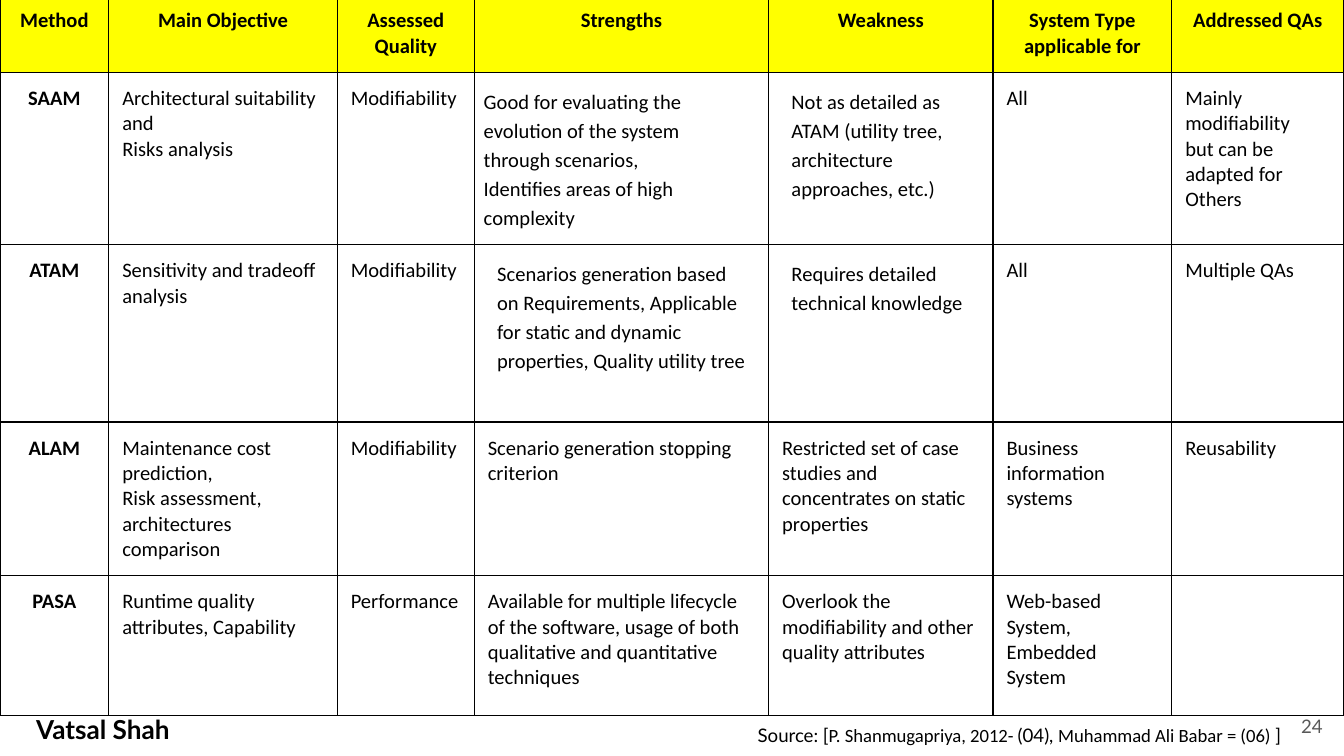
"""Build a slide comparing software architecture evaluation methods."""
import pptx
import pptx.dml.color
import pptx.enum.text
import pptx.oxml
import pptx.oxml.ns
import pptx.util
from pptx.util import Inches

COLORS = {"header": "FFFF00", "paper": "FFFFFF", "ink": "000000", "muted": "595959"}
ALIGN = pptx.enum.text.PP_ALIGN
COLUMN_WIDTHS = [0.81, 1.7, 1.02, 2.19, 1.67, 1.33, 1.28]
ROW_HEIGHTS = [0.57, 1.22, 1.32, 1.12, 1.04]
METHODS = [
    ["Method", "Main Objective", "Assessed Quality", "Strengths", "Weakness",
     "System Type applicable for", "Addressed QAs"],
    ["SAAM", "Architectural suitability and\nRisks analysis", "Modifiability",
     "Good for evaluating the evolution of the system through scenarios,\n"
     "Identifies areas of high complexity",
     "Not as detailed as ATAM (utility tree, architecture approaches, etc.)",
     "All", "Mainly modifiability\nbut can be adapted for\nOthers"],
    ["ATAM", "Sensitivity and tradeoff analysis", "Modifiability",
     "Scenarios generation based on Requirements, Applicable for static and "
     "dynamic properties, Quality utility tree",
     "Requires detailed technical knowledge", "All", "Multiple QAs"],
    ["ALAM", "Maintenance cost prediction,\nRisk assessment, architectures comparison",
     "Modifiability", "Scenario generation stopping criterion",
     "Restricted set of case studies and concentrates on static properties",
     "Business information systems", "Reusability"],
    ["PASA", "Runtime quality attributes, Capability", "Performance",
     "Available for multiple lifecycle of the software, usage of both "
     "qualitative and quantitative techniques",
     "Overlook the modifiability and other quality attributes",
     "Web-based System, Embedded System", ""],
]
LOOSE_CELLS = {(1, 3), (1, 4), (2, 3), (2, 4)}
INDENTED_CELLS = LOOSE_CELLS - {(1, 3)}


def rgb(color):
    """Return the named colour."""
    return pptx.dml.color.RGBColor.from_string(COLORS[color])


def apply_format(target, values):
    """Set each format value on the target."""
    for key, value in values.items():
        setattr(target, key, value)


def add_run(paragraph, text, color="ink", **font_values):
    """Append a formatted run to a paragraph."""
    run = paragraph.add_run()
    run.text = text
    apply_format(run.font, font_values)
    run.font.color.rgb = rgb(color)


def add_borders(cell):
    """Draw a thin line on all four sides of a cell."""
    properties = cell._tc.get_or_add_tcPr()
    for position, side in enumerate("LRTB"):
        properties.insert(position, pptx.oxml.parse_xml(
            f'<a:ln{side} {pptx.oxml.ns.nsdecls("a")} w="{pptx.util.Pt(0.75)}">'
            f'<a:solidFill><a:srgbClr val="{COLORS["ink"]}"/></a:solidFill></a:ln{side}>'))


def fill_cell(cell, text, row, column):
    """Write and format one cell according to its place in the table."""
    loose = (row, column) in LOOSE_CELLS
    side_margin = Inches(0.07 if loose else 0.1)
    apply_format(cell, {"margin_left": side_margin, "margin_right": side_margin,
                        "margin_top": Inches(0.1), "margin_bottom": Inches(0.1)})
    if row == 0 or loose:
        cell.fill.solid()
        cell.fill.fore_color.rgb = rgb("paper" if loose else "header")
    else:
        cell.fill.background()
    add_borders(cell)
    heading = row == 0 or column == 0
    for index, line in enumerate(text.split("\n")):
        frame = cell.text_frame
        paragraph = frame.add_paragraph() if index else frame.paragraphs[0]
        paragraph.alignment = ALIGN.CENTER if heading else ALIGN.LEFT
        if loose:
            paragraph.line_spacing = 1.15
            paragraph._p.get_or_add_pPr().set("marR", str(Inches(0.1)))
        if (row, column) in INDENTED_CELLS:
            paragraph._p.get_or_add_pPr().set("marL", str(Inches(0.1)))
        if line:
            add_run(paragraph, line, name="Calibri", size=pptx.util.Pt(11), bold=heading)


def add_methods_table(slide):
    """Add the comparison table across the slide."""
    table = slide.shapes.add_table(
        len(ROW_HEIGHTS), len(COLUMN_WIDTHS), 0, Inches(-0.04),
        Inches(sum(COLUMN_WIDTHS)), Inches(sum(ROW_HEIGHTS))).table
    apply_format(table, {"first_row": False, "horz_banding": False})
    for column, width in zip(table.columns, COLUMN_WIDTHS):
        column.width = Inches(width)
    for row, height in zip(table.rows, ROW_HEIGHTS):
        row.height = Inches(height)
    for row, texts in enumerate(METHODS):
        for column, text in enumerate(texts):
            fill_cell(table.cell(row, column), text, row, column)


def add_footer_text(slide, bounds, runs, alignment, size, color="ink", bold=False,
                    anchor=pptx.enum.text.MSO_ANCHOR.TOP):
    """Add a footer text box made of (text, font name) runs."""
    frame = slide.shapes.add_textbox(*map(Inches, bounds)).text_frame
    margins = {f"margin_{side}": Inches(0.1) for side in ("left", "right", "top", "bottom")}
    apply_format(frame, {"word_wrap": True, "vertical_anchor": anchor, **margins})
    paragraph = frame.paragraphs[0]
    paragraph.alignment = alignment
    for text, font_name in runs:
        add_run(paragraph, text, color, name=font_name, size=pptx.util.Pt(size), bold=bold)


def main():
    """Create the presentation and save it."""
    presentation = pptx.Presentation()
    apply_format(presentation, {"slide_width": Inches(10),
                                "slide_height": Inches(10) * 9 // 16})
    slide = presentation.slides.add_slide(presentation.slide_layouts[6])
    add_methods_table(slide)
    add_footer_text(slide, (9.34, 5.19, 0.6, 0.43), [("24", "Lato")], ALIGN.RIGHT, 10,
                    color="muted", anchor=pptx.enum.text.MSO_ANCHOR.MIDDLE)
    add_footer_text(slide, (0.17, 5.23, 1.21, 0.18), [("Vatsal Shah", "Lato")],
                    ALIGN.LEFT, 14, bold=True)
    add_footer_text(slide, (5, 5.3, 4.63, 0.17), [
        ("Source: [", "Lato"), ("P. Shanmugapriya, 2012- ", "Calibri"), ("(04), ", "Lato"),
        ("Muhammad Ali Babar = (06)", "Calibri"), (" ]", "Lato")], ALIGN.RIGHT, 10)
    presentation.save("out.pptx")


if __name__ == "__main__":
    main()
